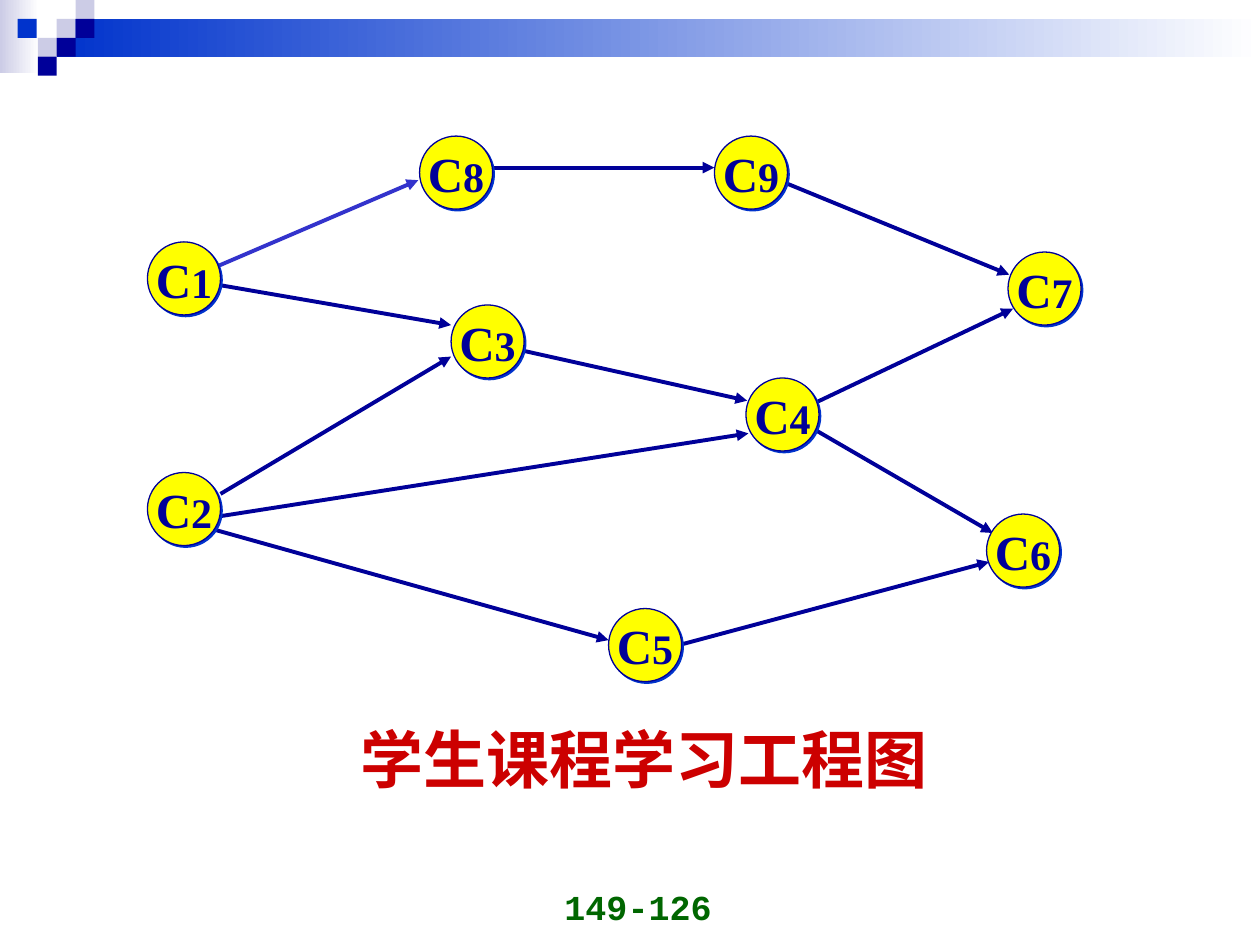
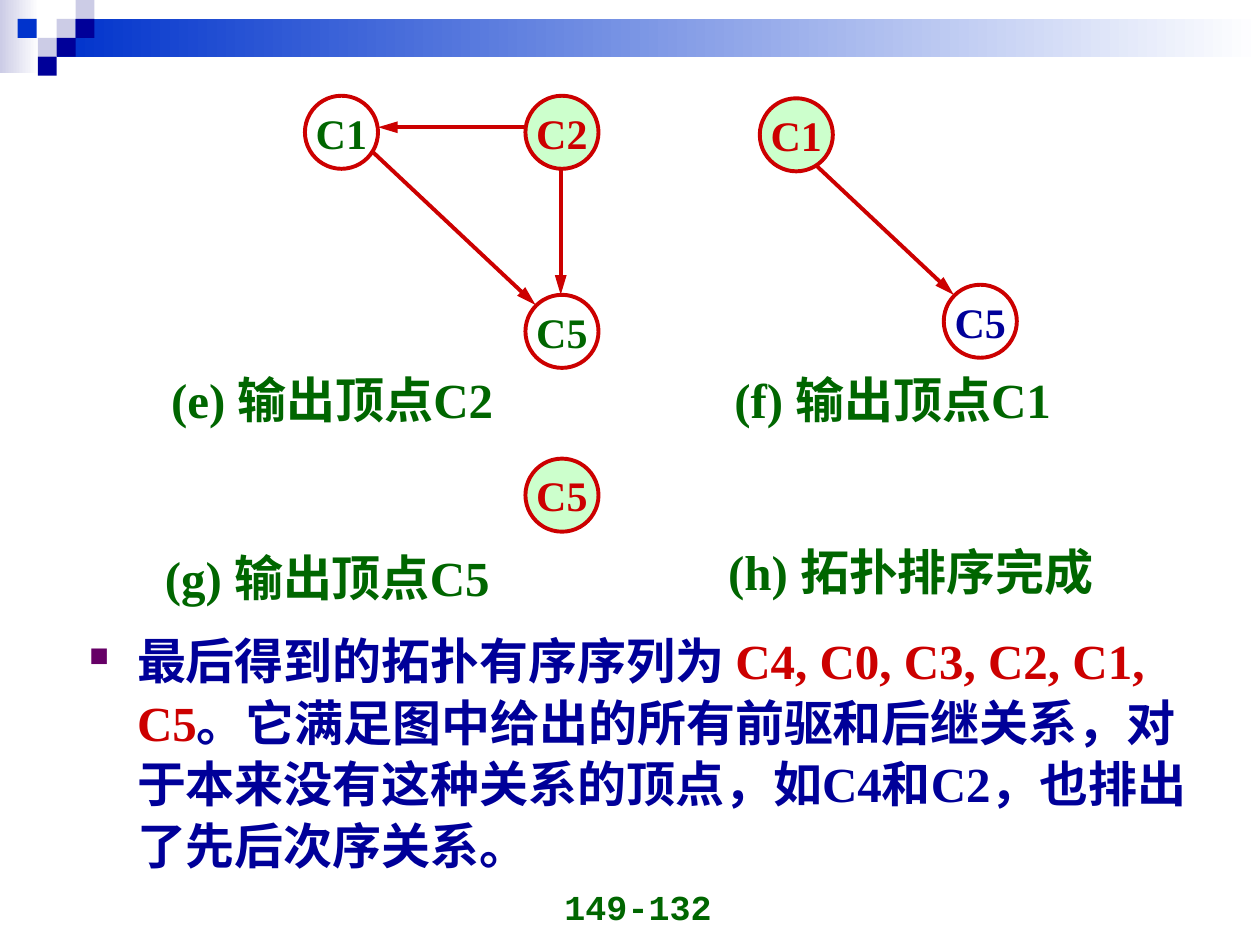
import pptx
import pptx.dml.color
import pptx.enum.dml
import pptx.enum.shapes
import pptx.enum.text
import pptx.oxml
import pptx.oxml.ns
import pptx.util

Inches = pptx.util.Inches
Pt = pptx.util.Pt
Align = pptx.enum.text.PP_ALIGN
Anchor = pptx.enum.text.MSO_ANCHOR
AutoSize = pptx.enum.text.MSO_AUTO_SIZE
Preset = pptx.enum.shapes.MSO_SHAPE

NAVY, BLUE, INDIGO, LAVENDER = "000099", "0033CC", "3333CC", "CCCCE6"
GREEN, MINT, RED, YELLOW, WHITE = "006600", "CCFFCC", "CC0000", "FFFF00", "FFFFFF"
PURPLE = "660066"
SERIF, MONO = "Times New Roman", "Courier New"
NODE_SIZE = 0.58
SQUARE = 0.15

# Header decoration: fading bands (box, colours), then squares (left, top, colour)
HEADER_BANDS = [
    ((0, 0, 0.31, 0.58), (LAVENDER, WHITE)),
    ((0.45, 0.15, 9.55, 0.3), (BLUE, WHITE)),
]
HEADER_SQUARES = [
    (0.45, 0.15, LAVENDER), (0.6, 0, LAVENDER), (0.6, 0.15, NAVY),
    (0.3, 0.3, LAVENDER), (0.14, 0.15, BLUE), (0.45, 0.3, NAVY),
    (0.3, 0.45, NAVY),
]

# Course graph: node number -> (left, top); arrows run from start to end
COURSES = {
    8: (3.33, 1.08), 3: (3.58, 2.42), 5: (4.83, 4.83),
    4: (5.92, 3), 9: (5.67, 1.08), 6: (7.83, 4.08),
    7: (8, 2), 1: (1.17, 1.92), 2: (1.17, 3.75),
}
COURSE_ARROWS = [
    ((4.09, 2.77), (5.93, 3.18), NAVY),
    ((6.18, 1.43), (8.01, 2.18), NAVY),
    ((6.38, 3.24), (8.04, 2.45), NAVY),
    ((5.35, 5.13), (7.85, 4.46), NAVY),
    ((6.38, 3.36), (7.88, 4.23), NAVY),
    ((1.58, 4.17), (4.83, 5.08), NAVY),
    ((1.75, 3.92), (3.58, 2.83), NAVY),
    ((1.67, 2.25), (3.58, 2.58), NAVY),
    ((1.57, 2.18), (3.32, 1.43), INDIGO),
    ((3.92, 1.33), (5.67, 1.33), NAVY),
    ((1.73, 4.1), (5.94, 3.44), NAVY),
]
COURSE_CAPTION = ("学生课程学习工程图", (2.76, 5.67, 4.7, 0.7))

# Sorting steps: (label, left, top, fill, text colour)
STEP_NODES = [
    ("C1", 2.42, 0.76, WHITE, GREEN),
    ("C2", 4.17, 0.76, MINT, RED),
    ("C5", 4.17, 2.34, WHITE, GREEN),
    ("C5", 7.49, 2.26, WHITE, NAVY),
    ("C1", 6.03, 0.78, MINT, RED),
    ("C5", 4.17, 3.64, MINT, RED),
]
STEP_ARROWS = [
    ((4.17, 1.01), (3, 1.01)),
    ((4.45, 1.34), (4.45, 2.34)),
    ((2.92, 1.17), (4.25, 2.42)),
    ((6.24, 1.09), (7.57, 2.34)),
]
STEP_CAPTIONS = [
    ("(e) 输出顶点C2", (1.26, 2.88, 2.94, 0.57)),
    ("(f) 输出顶点C1", (5.73, 2.88, 2.9, 0.57)),
    ("(g) 输出顶点C5", (1.21, 4.3, 2.98, 0.57)),
    ("(h) 拓扑排序完成", (5.68, 4.25, 3.21, 0.57)),
]
CONCLUSION = [
    ("最后得到的拓扑有序序列为 ", {}),
    ("C4, C0, C3, C2, C1, C5", {"color": RED}),
    ("。它满足图中给出的所有前驱和后继关系，对于本来没有这种关系的顶点，"
     "如C4和C2，也排出了先后次序关系。", {}),
]


def rgb(color):
    return pptx.dml.color.RGBColor.from_string(color)


def xml(tag, attributes="", children=""):
    namespace = pptx.oxml.ns.nsdecls("a")
    return pptx.oxml.parse_xml(f"<a:{tag} {namespace} {attributes}>{children}</a:{tag}>")


def write(shape, runs, size=28, color=GREEN, font=SERIF, align=Align.LEFT,
          anchor=Anchor.TOP, wrap=False, bullet=None, line_spacing=None):
    """Fill a shape with one paragraph; runs is a string or (text, overrides) pairs."""
    frame = shape.text_frame
    frame.word_wrap = wrap
    frame.vertical_anchor = anchor
    paragraph = frame.paragraphs[0]
    paragraph.alignment = align
    if bullet:
        properties = paragraph._p.get_or_add_pPr()
        properties.set("marL", str(Inches(0.38)))
        properties.set("indent", str(-Inches(0.38)))
        properties.append(xml("buClr", children=f'<a:srgbClr val="{PURPLE}"/>'))
        properties.append(xml("buSzPct", 'val="55000"'))
        properties.append(xml("buChar", f'char="{bullet}"'))
    if line_spacing:
        paragraph.line_spacing = line_spacing
    for text, changes in [(runs, {})] if isinstance(runs, str) else runs:
        run = paragraph.add_run()
        run.text = text
        run.font.name = font
        run.font.bold = True
        run.font.size = Pt(changes.get("size", size))
        run.font.color.rgb = rgb(changes.get("color", color))


def add_text(slide, box, runs, wrap=False, **text_format):
    """Add a text box; one that does not wrap grows with its line."""
    text_box = slide.shapes.add_textbox(*map(Inches, box))
    write(text_box, runs, wrap=wrap, **text_format)
    if not wrap:
        text_box.text_frame.auto_size = AutoSize.SHAPE_TO_FIT_TEXT


def add_shape(slide, preset, box, fill=None, gradient=None, line=None, line_width=1):
    shape = slide.shapes.add_shape(preset, *map(Inches, box))
    shape.shadow.inherit = False
    if gradient:
        shape.fill.gradient()
        shape.fill.gradient_angle = 0
        for stop, color in zip(shape.fill.gradient_stops, gradient):
            stop.color.rgb = rgb(color)
    else:
        shape.fill.solid()
        shape.fill.fore_color.rgb = rgb(fill)
    if line:
        shape.line.color.rgb = rgb(line)
        shape.line.width = Pt(line_width)
    else:
        shape.line.fill.background()
    return shape


def add_node(slide, left, top, runs, fill, line, line_width, **text_format):
    node = add_shape(slide, Preset.OVAL, (left, top, NODE_SIZE, NODE_SIZE),
                     fill=fill, line=line, line_width=line_width)
    write(node, runs, align=Align.CENTER, anchor=Anchor.MIDDLE, **text_format)
    return node


def add_hard_shadow(shape, color):
    """Give a shape an unblurred shadow to its lower right."""
    effects = shape._element.spPr.find(pptx.oxml.ns.qn("a:effectLst"))
    effects.append(xml("outerShdw", f'dist="{Pt(1.4)}" dir="2700000" algn="ctr" rotWithShape="0"',
                       f'<a:srgbClr val="{color}"/>'))


def add_arrow(slide, start, end, color, head_length="med"):
    connector = slide.shapes.add_connector(
        pptx.enum.shapes.MSO_CONNECTOR.STRAIGHT, *map(Inches, start + end))
    connector.line.color.rgb = rgb(color)
    connector.line.width = Pt(2.25)
    connector.line._get_or_add_ln().append(
        xml("tailEnd", f'type="triangle" w="med" len="{head_length}"'))
    connector._element.spPr.append(xml("effectLst"))


def add_base_slide(presentation, page):
    slide = presentation.slides.add_slide(presentation.slide_layouts[6])
    for box, colors in HEADER_BANDS:
        add_shape(slide, Preset.RECTANGLE, box, gradient=colors)
    for left, top, color in HEADER_SQUARES:
        add_shape(slide, Preset.RECTANGLE, (left, top, SQUARE, SQUARE), fill=color)
    add_text(slide, (3.9, 6.91, 2.33, 0.5), page, size=20, font=MONO,
             align=Align.CENTER, anchor=Anchor.BOTTOM, wrap=True)
    return slide


def build_course_graph(presentation):
    slide = add_base_slide(presentation, "149-126")
    caption, box = COURSE_CAPTION
    add_text(slide, box, caption, size=36, color=RED)
    for start, end, color in COURSE_ARROWS:
        add_arrow(slide, start, end, color)
    for number, (left, top) in COURSES.items():
        label = [("C", {}), (str(number), {"size": 24})]
        node = add_node(slide, left, top, label, YELLOW, NAVY, 0.75, color=NAVY)
        add_hard_shadow(node, BLUE)


def build_sorting_steps(presentation):
    slide = add_base_slide(presentation, "149-132")
    for start, end in STEP_ARROWS:
        add_arrow(slide, start, end, RED, head_length="lg")
    for label, left, top, fill, color in STEP_NODES:
        add_node(slide, left, top, label, fill, RED, 2.25, size=24, color=color)
    for caption, box in STEP_CAPTIONS:
        add_text(slide, box, caption)
    add_text(slide, (0.61, 4.93, 9, 2.24), CONCLUSION, color=NAVY, wrap=True,
             bullet="■", line_spacing=1.05)


def main():
    presentation = pptx.Presentation()
    presentation.slide_width = Inches(10)
    presentation.slide_height = Inches(7.5)
    build_course_graph(presentation)
    build_sorting_steps(presentation)
    presentation.save("out.pptx")


if __name__ == "__main__":
    main()
